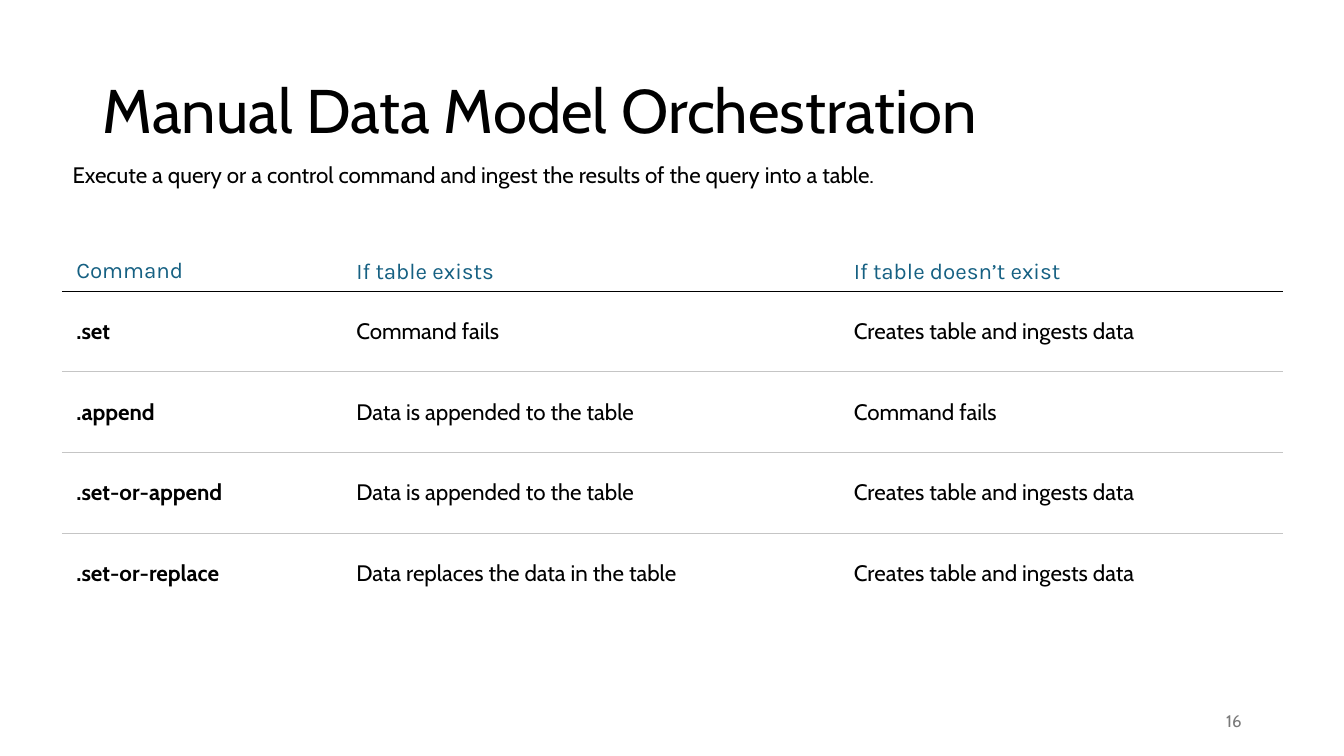
from dataclasses import dataclass

from pptx import Presentation
from pptx.dml.color import RGBColor as RGB
from pptx.enum.text import MSO_ANCHOR as Anchor, MSO_AUTO_SIZE as AutoSize, PP_ALIGN as Align
from pptx.oxml.ns import qn
from pptx.util import Pt
from lxml.etree import SubElement


@dataclass(frozen=True)
class Theme:
    text_font: str = "Cabin"
    header_font: str = "Karla"
    ink: str = "000000"
    accent: str = "156082"
    muted: str = "797979"
    paper: str = "FFFFFF"
    rule: str = "C5C5C5"
    title_size: float = 44
    text_size: float = 16
    number_size: float = 12
    hairline: float = 0.5
    edge: float = 1


class SlideBuilder:
    def __init__(self, slide, theme):
        self.slide = slide
        self.theme = theme

    def set_text(self, frame, text, size, color, font=None, bold=False, align=Align.LEFT, spacing=1.0):
        frame.text = text
        paragraph = frame.paragraphs[0]
        paragraph.alignment = align
        paragraph.line_spacing = spacing
        paragraph.space_before = Pt(0)
        for run in paragraph.runs:
            run.font.name = font or self.theme.text_font
            run.font.size = Pt(size)
            run.font.bold = bold
            run.font.color.rgb = RGB.from_string(color)

    def place(self, holder, left, top, width, height, anchor):
        holder.left, holder.top = Pt(left), Pt(top)
        holder.width, holder.height = Pt(width), Pt(height)
        frame = holder.text_frame
        frame.word_wrap = True
        frame.auto_size = AutoSize.NONE
        frame.vertical_anchor = anchor
        return frame

    def title(self, text, *box):
        frame = self.place(self.slide.shapes.title, *box, Anchor.MIDDLE)
        self.set_text(frame, text, self.theme.title_size, self.theme.ink, spacing=0.9)

    def body(self, text, *box):
        frame = self.place(self.slide.placeholders[1], *box, Anchor.TOP)
        self.set_text(frame, text, self.theme.text_size, self.theme.ink, spacing=0.9)
        properties = frame.paragraphs[0]._p.get_or_add_pPr()
        properties.set("marL", "0")
        properties.set("indent", "0")
        SubElement(properties, qn("a:buNone"))

    def page_number(self, text, *box):
        label = self.slide.shapes.add_textbox(0, 0, 0, 0)
        frame = self.place(label, *box, Anchor.MIDDLE)
        self.set_text(frame, text, self.theme.number_size, self.theme.muted, align=Align.RIGHT)

    def border(self, cell, side, color, width):
        line = SubElement(cell._tc.get_or_add_tcPr(), qn(f"a:ln{side}"), w=str(Pt(width)))
        fill = SubElement(line, qn("a:solidFill"))
        SubElement(fill, qn("a:srgbClr"), val=color)

    def cell(self, cell, text, is_header, is_command, above, below):
        theme = self.theme
        cell.margin_left = cell.margin_right = Pt(10)
        cell.margin_top = cell.margin_bottom = Pt(5)
        cell.vertical_anchor = Anchor.BOTTOM if is_header else Anchor.MIDDLE
        if is_header:
            spacing = 1.0 if is_command else 0.9
            self.set_text(cell.text_frame, text, theme.text_size, theme.accent,
                          theme.header_font, spacing=spacing)
        else:
            self.set_text(cell.text_frame, text, theme.text_size, theme.ink, bold=is_command)
        outer = (theme.paper, theme.edge)
        for side, style in zip("LRTB", (outer, outer, above, below)):
            self.border(cell, side, *style)
        cell.fill.background()

    def table(self, rows, left, top, widths, heights):
        theme = self.theme
        frame = self.slide.shapes.add_table(
            len(rows), len(widths), Pt(left), Pt(top), Pt(sum(widths)), Pt(sum(heights)))
        table = frame.table
        table.first_row = table.horz_banding = False
        for column, width in zip(table.columns, widths):
            column.width = Pt(width)
        outer = (theme.paper, theme.edge)
        inner = [(theme.rule, theme.hairline)] * (len(rows) - 2)
        rules = [outer, (theme.ink, theme.hairline), *inner, outer]
        for r, (texts, height) in enumerate(zip(rows, heights)):
            table.rows[r].height = Pt(height)
            for c, text in enumerate(texts):
                self.cell(table.cell(r, c), text, r == 0, c == 0, rules[r], rules[r + 1])


COMMANDS = [
    ("Command", "If table exists", "If table doesn’t exist"),
    (".set", "Command fails", "Creates table and ingests data"),
    (".append", "Data is appended to the table", "Command fails"),
    (".set-or-append", "Data is appended to the table", "Creates table and ingests data"),
    (".set-or-replace", "Data replaces the data in the table", "Creates table and ingests data"),
]


def main():
    deck = Presentation()
    deck.slide_width, deck.slide_height = Pt(960), Pt(540)
    slide = deck.slides.add_slide(deck.slide_layouts[1])
    builder = SlideBuilder(slide, Theme())
    builder.title("Manual Data Model Orchestration", 66, 28.8, 828, 104.4)
    builder.body(
        "Execute a query or a control command and ingest the results of the query into a table.",
        44.6, 113.8, 871.2, 373)
    builder.table(COMMANDS, 44.6, 174.2, [200, 355.4, 315.8], [33.6] + [57.7] * 4)
    builder.page_number("16", 678, 500.5, 216, 28.8)
    deck.save("out.pptx")


if __name__ == "__main__":
    main()
